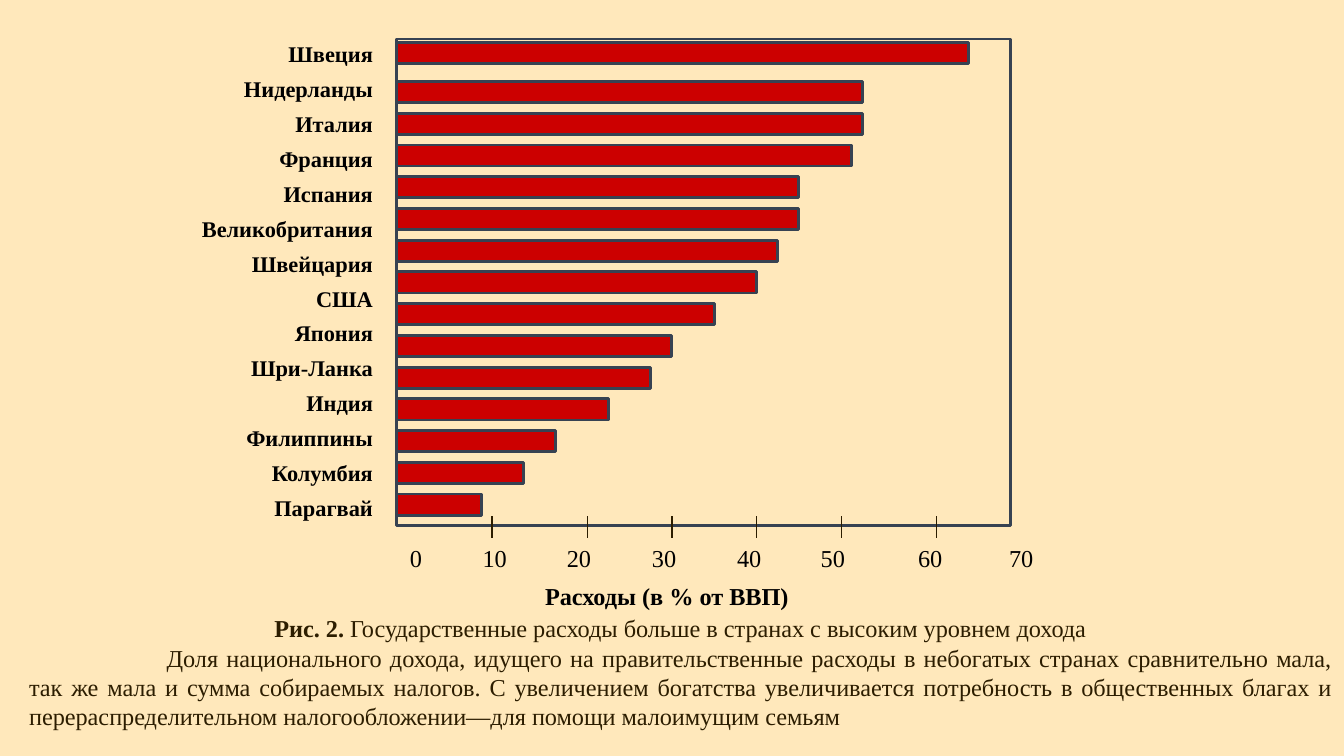
from dataclasses import dataclass

from lxml import etree
from pptx import Presentation
from pptx import util as u
from pptx.dml.color import RGBColor
from pptx.enum import shapes, text
from pptx.oxml.ns import qn


@dataclass(frozen=True)
class Theme:
    font: str = "Times New Roman"
    background: str = "FFE8BB"
    bar: str = "CC0000"
    outline: str = "374252"
    body: str = "2C1D00"
    label: str = "000000"
    body_size: float = 13
    label_size: float = 12


class SlideBuilder:
    def __init__(self, prs, theme):
        self.theme = theme
        self.s = prs.slides.add_slide(prs.slide_layouts[0])
        title = self.s.shapes.title.element
        title.getparent().remove(title)
        fill = self.s.background.fill
        fill.solid()
        fill.fore_color.rgb = RGBColor.from_string(theme.background)

    def rect(self, left, top, width, height, color):
        sp = self.s.shapes.add_shape(
            shapes.MSO_SHAPE.RECTANGLE, u.Cm(left), u.Cm(top), u.Cm(width), u.Cm(height))
        sp.shadow.inherit = False
        sp.fill.solid()
        sp.fill.fore_color.rgb = RGBColor.from_string(color)
        sp.line.color.rgb = RGBColor.from_string(self.theme.outline)
        sp.line.width = u.Pt(1.5)

    def tick(self, x, top, bottom):
        line = self.s.shapes.add_connector(
            shapes.MSO_CONNECTOR.STRAIGHT, u.Cm(x), u.Cm(bottom), u.Cm(x), u.Cm(top))
        line.line.color.rgb = RGBColor.from_string(self.theme.body)
        line.line.width = u.Pt(0.75)
        etree.SubElement(line.element.spPr, qn("a:effectLst"))

    def style(self, p, size, color, align, bold=None, spacing=None):
        p.alignment = align
        p.space_before = u.Pt(0)
        p.line_spacing = spacing
        for r in p.runs:
            r.font.name = self.theme.font
            r.font.size = u.Pt(size)
            r.font.color.rgb = RGBColor.from_string(color)
            r.font.bold = bold

    def frame(self, sp):
        """Give a text shape wrapping, top anchoring and equal insets."""
        tf = sp.text_frame
        tf.word_wrap = True
        tf.auto_size = text.MSO_AUTO_SIZE.NONE
        tf.vertical_anchor = text.MSO_ANCHOR.TOP
        tf.margin_left = tf.margin_right = tf.margin_top = tf.margin_bottom = u.Cm(0.25)
        return tf

    def text_box(self, left, top, width, height, content, size, align,
                 bold=None, spacing=None):
        sp = self.s.shapes.add_textbox(u.Cm(left), u.Cm(top), u.Cm(width), u.Cm(height))
        tf = self.frame(sp)
        tf.text = content
        for p in tf.paragraphs:
            self.style(p, size, self.theme.label, align, bold, spacing)
        return tf

    def axis_labels(self, left, top, width, height, stops):
        """Write values on one line, each centred on its tab stop."""
        tf = self.text_box(left, top, width, height, "".join(f"\t{v}" for v in stops),
                           self.theme.body_size, text.PP_ALIGN.LEFT)
        tf.margin_top = tf.margin_bottom = u.Cm(0.13)
        tabs = etree.SubElement(tf.paragraphs[0]._p.get_or_add_pPr(), qn("a:tabLst"))
        for x in stops.values():
            etree.SubElement(tabs, qn("a:tab"), pos=str(u.Cm(x - left - 0.25)), algn="ctr")

    def caption(self, left, top, width, height, number, heading, body):
        sp = self.s.placeholders[1]
        sp.left, sp.top, sp.width, sp.height = map(u.Cm, (left, top, width, height))
        tf = self.frame(sp)
        p = tf.paragraphs[0]
        p.text = number
        p.add_run().text = heading
        self.style(p, self.theme.body_size, self.theme.body, text.PP_ALIGN.CENTER, False)
        p.runs[0].font.bold = True
        p = tf.add_paragraph()
        p.text = body
        self.style(p, self.theme.body_size, self.theme.body, text.PP_ALIGN.JUSTIFY, False)
        p._p.get_or_add_pPr().set("indent", str(u.Cm(2.6)))


COUNTRIES = ["Швеция", "Нидерланды", "Италия", "Франция", "Испания", "Великобритания",
             "Швейцария", "США", "Япония", "Шри-Ланка", "Индия", "Филиппины",
             "Колумбия", "Парагвай"]
BAR_WIDTHS = [10.8, 8.8, 8.8, 8.6, 7.6, 7.6, 7.2, 6.8, 6, 5.2, 4.8, 4, 3, 2.4, 1.6]
TICKS = [9.3, 11.1, 12.7, 14.3, 15.9, 17.7]
AXIS_VALUES = {0: 7.86, 10: 9.35, 20: 10.94, 30: 12.55, 40: 14.16, 50: 15.74,
               60: 17.58, 70: 19.3}
AXIS_LEFT, BAR_HEIGHT, BAR_STEP = 7.5, 0.4, 0.6


def main():
    prs = Presentation()
    prs.slide_width, prs.slide_height = u.Cm(25.4), u.Cm(14.29)
    theme = Theme()
    b = SlideBuilder(prs, theme)

    b.caption(0.3, 11.35, 25.1, 3.53, "Рис. 2.",
              " Государственные расходы больше в странах с высоким уровнем дохода",
              "Доля национального дохода, идущего на правительственные расходы в небогатых "
              "странах сравнительно мала, так же мала и сумма собираемых налогов. "
              "С увеличением богатства увеличивается потребность в общественных благах и "
              "перераспределительном налогообложении—для помощи малоимущим семьям")
    b.rect(AXIS_LEFT, 0.74, 11.6, 9.2, theme.background)
    for i, width in enumerate(BAR_WIDTHS):
        top = 1.54 + (i - 1) * BAR_STEP if i else 0.8
        b.rect(AXIS_LEFT, top, width, BAR_HEIGHT, theme.bar)
    for x in TICKS:
        b.tick(x, 9.76, 10.16)
    b.text_box(1.3, 0.36, 6, 9.22, "\n".join(COUNTRIES), theme.label_size,
               text.PP_ALIGN.RIGHT, True, 1.3)
    b.axis_labels(5.9, 10.14, 16.05, 0.81, AXIS_VALUES)
    b.text_box(8.7, 10.74, 7.8, 1.4, "Расходы (в % от ВВП)", theme.body_size,
               text.PP_ALIGN.CENTER, True)
    prs.save("out.pptx")


if __name__ == "__main__":
    main()
